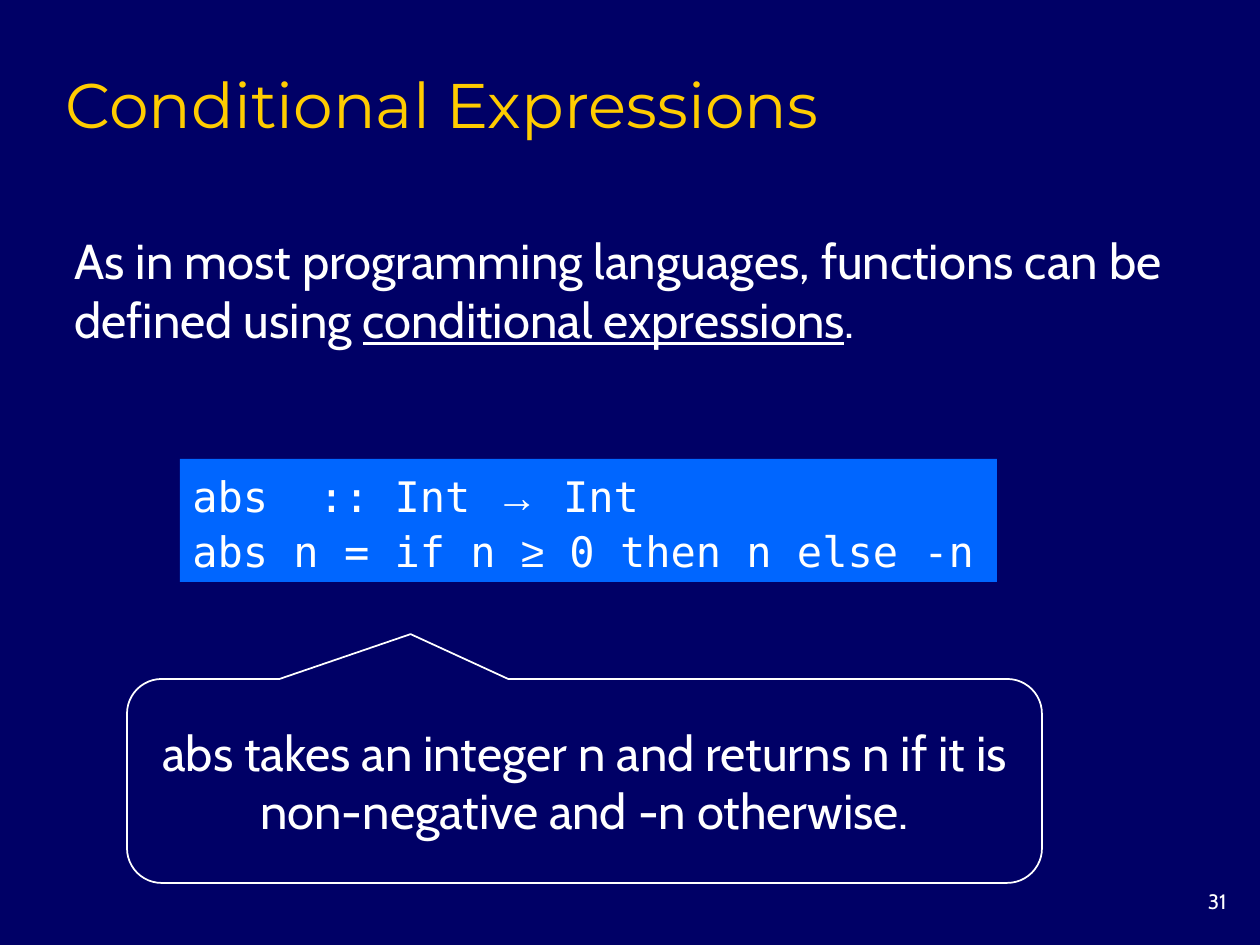
from pptx import Presentation
from pptx.dml.color import RGBColor
from pptx.enum.shapes import MSO_SHAPE as Shape
from pptx.enum.text import MSO_ANCHOR as Anchor, MSO_AUTO_SIZE as AutoSize, PP_ALIGN as Align
from pptx.util import Emu, Pt

NAVY = RGBColor(0x00, 0x00, 0x66)
BLUE = RGBColor(0x00, 0x66, 0xFF)
GOLD = RGBColor(0xFF, 0xCC, 0x00)
WHITE = RGBColor(0xFF, 0xFF, 0xFF)
HEADING, BODY, CODE, SYMBOL = "Montserrat", "Cabin", "DejaVu Sans Mono", "Arial"
SYMBOLS = "→≥"
PX_PER_INCH = 126


def px(length):
    return Emu(round(length * 914400 / PX_PER_INCH))


class Painter:
    def __init__(self, deck):
        self.page = deck.slides.add_slide(deck.slide_layouts[5])
        background = self.page.background.fill
        background.solid()
        background.fore_color.rgb = NAVY

    def style(self, para, size, font=BODY, color=WHITE, align=Align.LEFT):
        para.alignment = align
        for span in para.runs:
            span.font.size = Pt(size)
            span.font.name = font
            span.font.color.rgb = color

    def frame(self, box, anchor, wrap=True):
        frame = box.text_frame
        frame.auto_size = AutoSize.NONE
        frame.word_wrap = wrap
        frame.vertical_anchor = anchor
        return frame

    def title(self, text, left, top, width, height):
        box = self.page.shapes.title
        box.left, box.top, box.width, box.height = map(px, (left, top, width, height))
        frame = self.frame(box, Anchor.BOTTOM)
        frame.text = text
        self.style(frame.paragraphs[0], 36, HEADING, GOLD)

    def text(self, spans, left, top, width, height, size=28,
             anchor=Anchor.MIDDLE, align=Align.LEFT):
        box = self.page.shapes.add_textbox(*map(px, (left, top, width, height)))
        para = self.frame(box, anchor).paragraphs[0]
        for words, underlined in spans:
            span = para.add_run()
            span.text = words
            span.font.underline = underlined
        self.style(para, size, align=align)

    def shape(self, kind, left, top, width, height):
        box = self.page.shapes.add_shape(kind, *map(px, (left, top, width, height)))
        box.shadow.inherit = False
        return box

    def code(self, lines, left, top, width, height):
        box = self.shape(Shape.RECTANGLE, left, top, width, height)
        box.fill.solid()
        box.fill.fore_color.rgb = BLUE
        box.line.fill.background()
        frame = self.frame(box, Anchor.MIDDLE, wrap=False)
        for index, parts in enumerate(lines):
            para = frame.add_paragraph() if index else frame.paragraphs[0]
            para.line_spacing = 1.1
            for part in parts:
                para.add_run().text = part
            self.style(para, 24, CODE)
            for span in para.runs:
                if span.text in SYMBOLS:
                    span.font.name = SYMBOL

    def callout(self, text, left, top, width, height, tip):
        box = self.shape(Shape.ROUNDED_RECTANGULAR_CALLOUT, left, top, width, height)
        for index, value in enumerate((*tip, 0.17)):
            box.adjustments[index] = value
        box.fill.background()
        box.line.color.rgb = WHITE
        box.line.width = Pt(1)
        frame = self.frame(box, Anchor.MIDDLE)
        frame.text = text
        self.style(frame.paragraphs[0], 28, align=Align.CENTER)


def main():
    deck = Presentation()
    deck.slide_width, deck.slide_height = px(1260), px(945)
    painter = Painter(deck)
    painter.text([("31", False)], 1155, 882, 84, 42, 11.9, Anchor.TOP, Align.RIGHT)
    painter.title("Conditional Expressions", 53, 53, 1071, 94)
    painter.text([
        ("As in most programming languages, functions can be defined using ", False),
        ("conditional expressions", True),
        (".", False),
    ], 62, 224, 1115, 131)
    painter.code([
        ("abs  :: Int ", "→", " Int"),
        ("abs n = if n ", "≥", " 0 then n else -n"),
    ], 180, 459, 817, 123)
    painter.callout(
        "abs takes an integer n and returns n if it is non-negative and -n otherwise.",
        127, 679, 915, 204, (-0.19, -0.72))
    deck.save("out.pptx")


if __name__ == "__main__":
    main()
